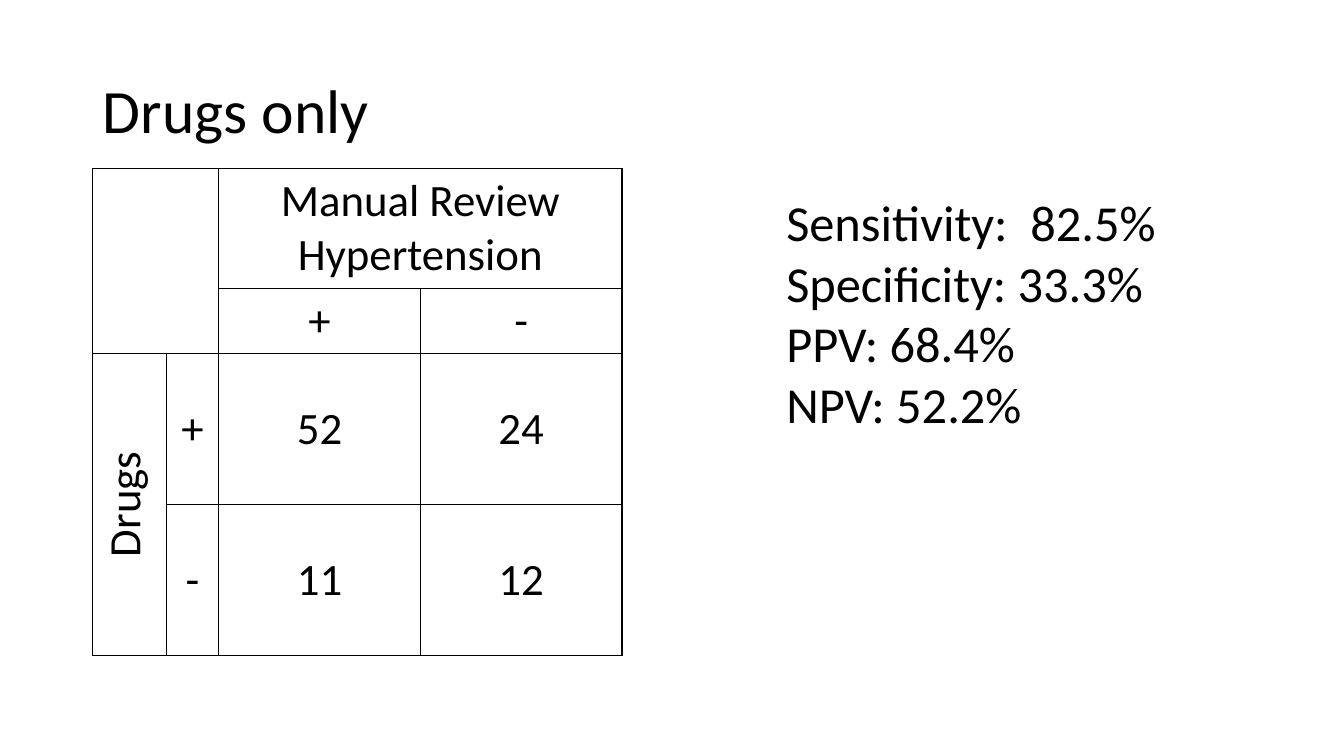
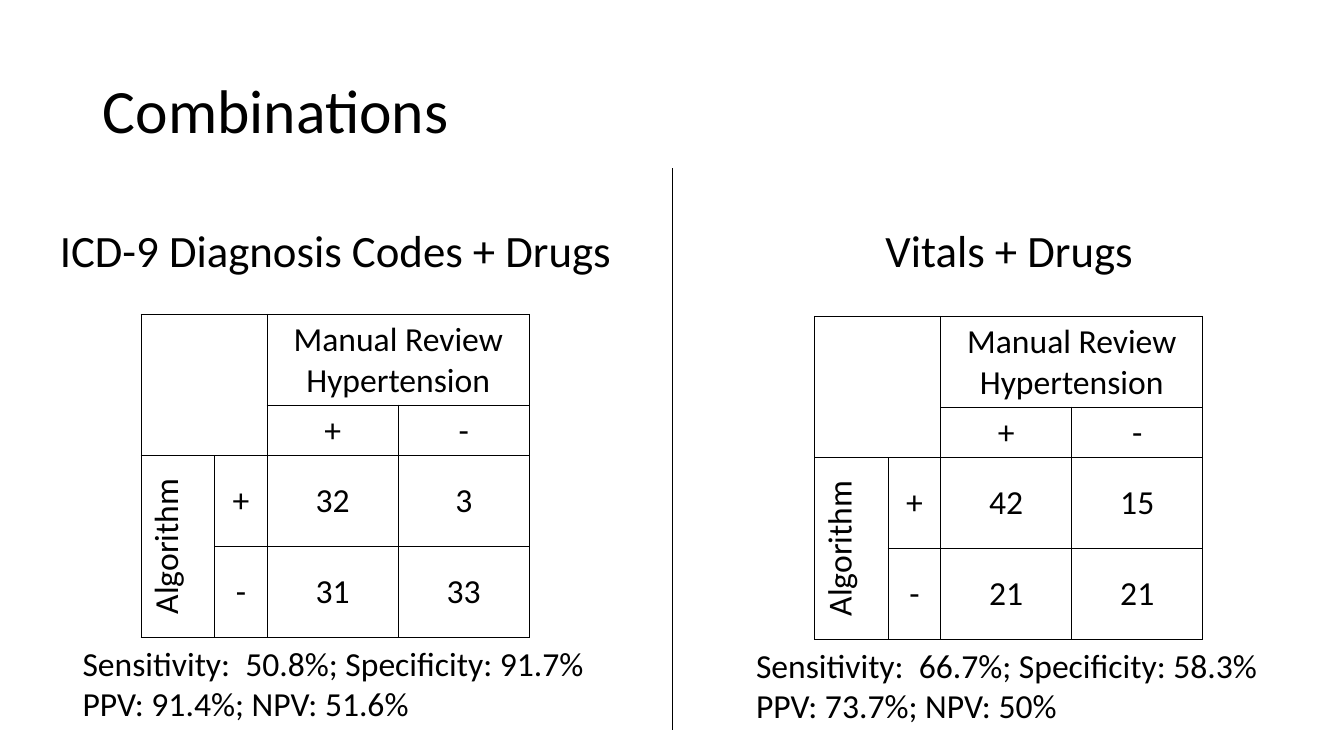
"""Builds two slides of confusion tables for hypertension detection."""
from lxml.etree import SubElement
from pptx import Presentation
from pptx.dml.color import RGBColor
from pptx.enum.shapes import MSO_CONNECTOR
from pptx.enum.text import MSO_ANCHOR, MSO_AUTO_SIZE, PP_ALIGN
from pptx.oxml.ns import qn
from pptx.util import Inches, Pt

INK = "000000"
FACE = "Calibri"


def color(code):
    return RGBColor.from_string(code)


class Deck:
    def __init__(self):
        self.show = Presentation()
        self.show.slide_width = Inches(13.33)
        self.show.slide_height = Inches(7.5)
        self.slide = None

    def style(self, frame, size, align):
        for para in frame.paragraphs:
            para.alignment = align
            for run in para.runs:
                run.font.name = FACE
                run.font.size = Pt(size)
                run.font.color.rgb = color(INK)

    def page(self, text):
        self.slide = self.show.slides.add_slide(self.show.slide_layouts[5])
        title = self.slide.shapes.title
        title.left, title.top = Inches(0.92), Inches(0.4)
        title.width, title.height = Inches(11.5), Inches(1.45)
        frame = title.text_frame
        frame.text = text
        frame.vertical_anchor = MSO_ANCHOR.MIDDLE
        frame.paragraphs[0].line_spacing = 0.9
        self.style(frame, 44, PP_ALIGN.LEFT)

    def text(self, left, top, width, height, words, size, align=PP_ALIGN.LEFT):
        box = self.slide.shapes.add_textbox(
            Inches(left), Inches(top), Inches(width), Inches(height))
        frame = box.text_frame
        frame.word_wrap = False
        frame.auto_size = MSO_AUTO_SIZE.SHAPE_TO_FIT_TEXT
        frame.text = words
        self.style(frame, size, align)

    def line(self, x, top, end):
        rule = self.slide.shapes.add_connector(
            MSO_CONNECTOR.STRAIGHT, Inches(x), Inches(top), Inches(x), Inches(end))
        rule.line.color.rgb = color(INK)
        rule.line.width = Pt(0.5)
        SubElement(rule._element.spPr, qn("a:effectLst"))

    def border(self, cell):
        props = cell._tc.get_or_add_tcPr()
        for side in ("lnL", "lnR", "lnT", "lnB"):
            edge = SubElement(props, qn("a:" + side), w=str(Pt(1)))
            fill = SubElement(edge, qn("a:solidFill"))
            SubElement(fill, qn("a:srgbClr"), val=INK)

    def table(self, left, top, wide, rows, size, test, counts):
        cols = (0.73, 0.52, wide, wide)
        table = self.slide.shapes.add_table(
            4, 4, Inches(left), Inches(top),
            Inches(sum(cols)), Inches(sum(rows))).table
        table.first_row = table.horz_banding = False
        for col, width in zip(table.columns, cols):
            col.width = Inches(width)
        for row, height in zip(table.rows, rows):
            row.height = Inches(height)
        for cell in table.iter_cells():
            self.border(cell)
            cell.fill.background()
        for start, end in (((0, 0), (1, 1)), ((0, 2), (0, 3)), ((2, 0), (3, 0))):
            table.cell(*start).merge(table.cell(*end))
        hits, misses = counts
        grid = (("", "", "Manual Review Hypertension", ""),
                ("", "", "+", "-"),
                (test, "+", *hits),
                ("", "-", *misses))
        for r, row in enumerate(grid):
            for c, word in enumerate(row):
                if word:
                    cell = table.cell(r, c)
                    cell.text_frame.text = str(word)
                    cell.vertical_anchor = MSO_ANCHOR.MIDDLE if r else MSO_ANCHOR.TOP
                    self.style(cell.text_frame, size, PP_ALIGN.CENTER)
        table.cell(2, 0)._tc.get_or_add_tcPr().set("vert", "vert270")

    def panel(self, left, drop, name, width, counts, stats):
        self.text(left + 3.33 - width / 2, 2.16, width, 0.64, name, 32, PP_ALIGN.CENTER)
        self.table(left + 1.4, 3.12 + drop, 1.3, (0.9, 0.5, 0.9, 0.9),
                   24, "Algorithm", counts)
        self.text(left + 0.72, 6.33 + drop, 5.22, 0.91, stats, 24)


def main():
    deck = Deck()
    deck.page("Drugs only")
    deck.table(0.92, 1.67, 2, (1.19, 0.64, 1.5, 1.5), 32, "Drugs", ((52, 24), (11, 12)))
    deck.text(7.7, 1.85, 3.91, 2.52,
              "Sensitivity:  82.5%\nSpecificity: 33.3%\nPPV: 68.4%\nNPV: 52.2%", 36)

    deck.page("Combinations")
    deck.line(6.67, 1.67, 7.24)
    deck.panel(0, 0, "ICD-9 Diagnosis Codes + Drugs", 5.73, ((32, 3), (31, 33)),
               "Sensitivity:  50.8%; Specificity: 91.7%\nPPV: 91.4%; NPV: 51.6%")
    deck.panel(6.68, 0.02, "Vitals + Drugs", 2.68, ((42, 15), (21, 21)),
               "Sensitivity:  66.7%; Specificity: 58.3%\nPPV: 73.7%; NPV: 50%")
    deck.show.save("out.pptx")


if __name__ == "__main__":
    main()
